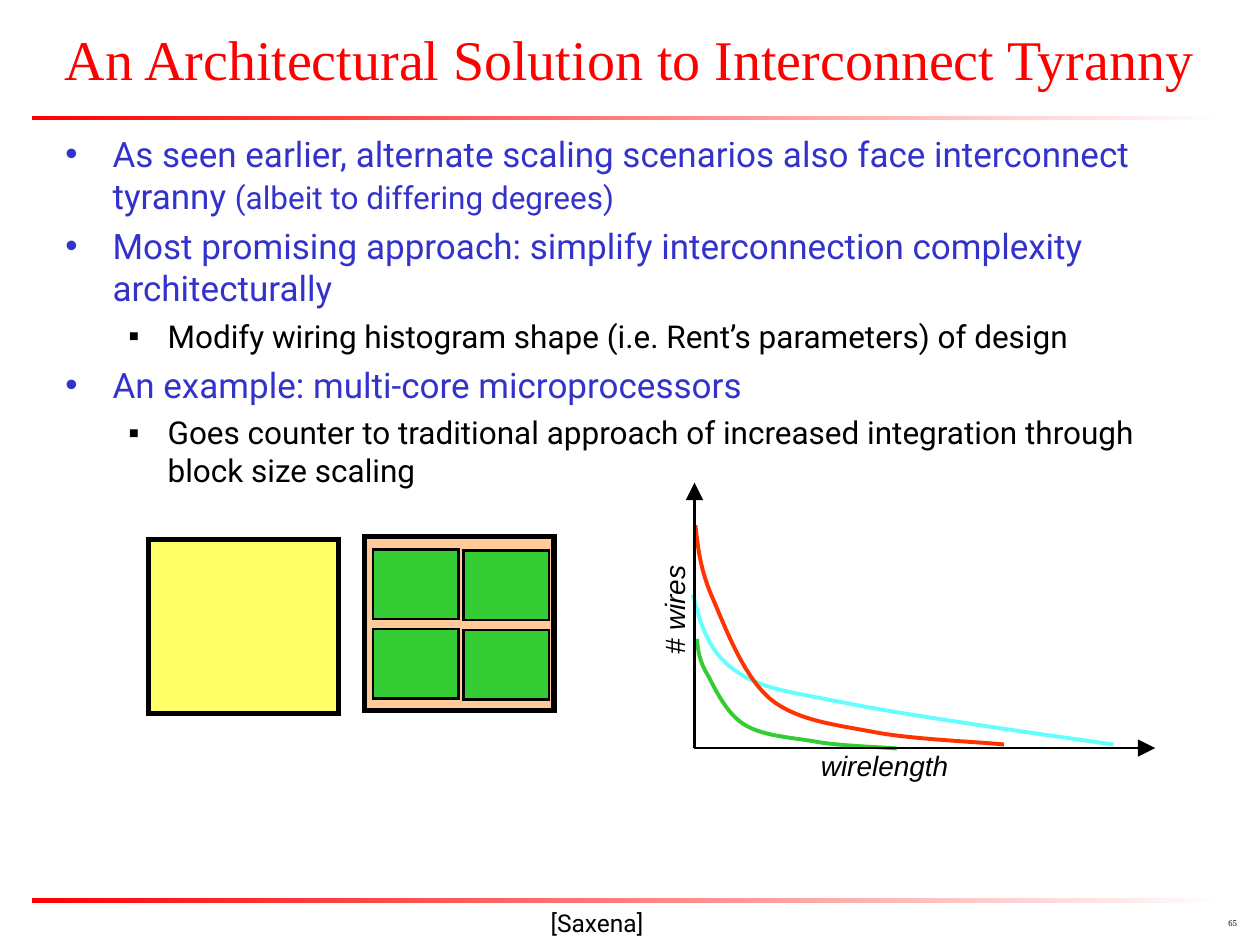
from dataclasses import dataclass

from lxml import etree
from pptx import Presentation
from pptx.dml.color import RGBColor
from pptx.enum.shapes import MSO_CONNECTOR, MSO_SHAPE
from pptx.enum.text import MSO_ANCHOR, PP_ALIGN
from pptx.oxml.ns import qn
from pptx.util import Cm, Pt

RECTANGLE = MSO_SHAPE.RECTANGLE
STRAIGHT = MSO_CONNECTOR.STRAIGHT
LEFT, CENTER, RIGHT = PP_ALIGN.LEFT, PP_ALIGN.CENTER, PP_ALIGN.RIGHT
MIDDLE = MSO_ANCHOR.MIDDLE


@dataclass(frozen=True)
class Theme:
    red: str = "FF0000"
    blue: str = "3333CC"
    black: str = "000000"
    white: str = "FFFFFF"
    yellow: str = "FFFF66"
    peach: str = "FFCC99"
    green: str = "33CC33"
    cyan: str = "66FFFF"
    orange: str = "FF3300"
    serif: str = "Times New Roman"
    body: str = "Roboto"
    label: str = "Arial"
    title_size: int = 32
    point_size: int = 20
    detail_size: int = 18
    label_size: int = 16
    source_size: int = 14
    number_size: int = 5


theme = Theme()

deck = Presentation()
deck.slide_width, deck.slide_height = Cm(25.4), Cm(19.05)
slide = deck.slides.add_slide(deck.slide_layouts[6])
shapes = slide.shapes


def add_label(parent, text, place, font, size, color, align=LEFT, wrap=False):
    box = parent.add_textbox(*map(Cm, place))
    box.text_frame.word_wrap = wrap
    paragraph = box.text_frame.paragraphs[0]
    paragraph.text = text
    paragraph.alignment = align
    paragraph.font.name = font
    paragraph.font.size = Pt(size)
    paragraph.font.color.rgb = RGBColor.from_string(color)
    return box


def add_block(parent, place, fill, border):
    block = parent.add_shape(RECTANGLE, *map(Cm, place))
    block.shadow.inherit = False
    block.fill.solid()
    block.fill.fore_color.rgb = RGBColor.from_string(fill)
    block.line.color.rgb = RGBColor.from_string(theme.black)
    block.line.width = Pt(border)
    etree.SubElement(block.line._get_or_add_ln(), qn("a:miter"), lim="800000")


# Fading rules under the title and above the footer
for top in (2.33, 18.11):
    rule = shapes.add_shape(RECTANGLE, Cm(0.64), Cm(top), Cm(24.13), Cm(0.1))
    rule.shadow.inherit = False
    rule.line.fill.background()
    rule.fill.gradient()
    rule.fill.gradient_angle = 0
    for stop, color in zip(rule.fill.gradient_stops, (theme.red, theme.white)):
        stop.color.rgb = RGBColor.from_string(color)

# Slide number and title
number = add_label(shapes, "65", (19.91, 18.41, 5.28, 0.5), theme.serif,
                   theme.number_size, theme.black, RIGHT, wrap=True)
number.text_frame.paragraphs[0].line_spacing = 0.8
title = add_label(shapes, "An Architectural Solution to Interconnect Tyranny",
                  (0, 0.22, 25.4, 1.9), theme.serif, theme.title_size,
                  theme.red, CENTER, wrap=True)
title.text_frame.vertical_anchor = MIDDLE

# Bulleted points: level, then text in runs with their sizes
points = [
    (0, [("As seen earlier, alternate scaling scenarios also face interconnect tyranny ",
          theme.point_size),
         ("(albeit to differing degrees)", theme.detail_size)]),
    (0, [("Most promising approach: simplify interconnection complexity architecturally",
          theme.point_size)]),
    (1, [("Modify wiring histogram shape (i.e. Rent’s parameters) of design",
          theme.detail_size)]),
    (0, [("An example: multi-core microprocessors", theme.point_size)]),
    (1, [("Goes counter to traditional approach of increased integration through "
          "block size scaling", theme.detail_size)]),
]
# Per level: bullet, colour, left margin, hanging indent, space before
levels = [("•", theme.blue, 0.95, 0.95, 5), ("▪", theme.black, 2.06, 0.79, 4.5)]

body = shapes.add_textbox(Cm(1.07), Cm(2.54), Cm(23.29), Cm(15.44)).text_frame
body.word_wrap = True
for index, (level, pieces) in enumerate(points):
    bullet, color, margin, hang, gap = levels[level]
    paragraph = body.add_paragraph() if index else body.paragraphs[0]
    paragraph.level = level
    properties = paragraph._p.get_or_add_pPr()
    properties.set("marL", str(Cm(margin)))
    properties.set("indent", str(-Cm(hang)))
    bullet_color = etree.SubElement(properties, qn("a:buClr"))
    etree.SubElement(bullet_color, qn("a:srgbClr"), val=color)
    etree.SubElement(properties, qn("a:buFont"), typeface=theme.label)
    etree.SubElement(properties, qn("a:buChar"), char=bullet)
    if index:
        paragraph.space_before = Pt(gap)
    for text, size in pieces:
        run = paragraph.add_run()
        run.text = text
        run.font.name = theme.body
        run.font.size = Pt(size)
        run.font.color.rgb = RGBColor.from_string(color)

# Single-core chip beside a chip with a two by two grid of cores
add_block(shapes, (3, 10.87, 3.82, 3.51), theme.yellow, 3)
multicore = shapes.add_group_shape().shapes
add_block(multicore, (7.35, 10.82, 3.82, 3.51), theme.peach, 3)
for row in range(2):
    for column in range(2):
        add_block(multicore, (7.52 + 1.83 * column, 11.08 + 1.6 * row + 0.02 * column,
                              1.72, 1.4), theme.green, 1.5)

# Wire histograms: start point, then two controls and an end per Bezier piece
curves = [
    (theme.cyan, [(13.97, 11.99), (14.12, 12.57), (14.27, 13.13), (14.81, 13.51),
                  (15.32, 13.87), (15.75, 13.92), (17.04, 14.17),
                  (18.31, 14.43), (21.54, 14.88), (22.45, 15.01)]),
    (theme.green, [(14.05, 12.88), (14.07, 13.11), (14.1, 13.34), (14.27, 13.61),
                   (14.43, 13.92), (14.66, 14.4), (15.01, 14.61),
                   (15.37, 14.83), (15.88, 14.86), (16.38, 14.94),
                   (16.89, 15.04), (17.78, 15.06), (18.08, 15.09)]),
    (theme.orange, [(14.02, 10.59), (14.07, 11.05), (14.12, 11.51), (14.38, 12.09),
                    (14.63, 12.67), (14.99, 13.64), (15.54, 14.1),
                    (16.08, 14.53), (16.84, 14.61), (17.63, 14.76),
                    (18.42, 14.91), (19.81, 14.96), (20.24, 15.01)]),
]
for color, knots in curves:
    start, *rest = [(Cm(x), Cm(y)) for x, y in knots]
    builder = shapes.build_freeform(*start)
    builder.add_line_segments(rest, close=False)
    curve = builder.convert_to_shape()
    # Every three straight segments become one cubic piece
    segments = list(curve._element.iter(qn("a:lnTo")))
    outline = segments[0].getparent()
    for first in range(0, len(segments), 3):
        cubic = etree.SubElement(outline, qn("a:cubicBezTo"))
        for segment in segments[first:first + 3]:
            cubic.append(segment[0])
            outline.remove(segment)
    curve.shadow.inherit = False
    curve.fill.background()
    curve.line.color.rgb = RGBColor.from_string(color)
    curve.line.width = Pt(2.25)

# Axes with arrowheads
graph = shapes.add_group_shape().shapes
for end_x, end_y in ((14, 9.73), (23.29, 15.08)):
    axis = graph.add_connector(STRAIGHT, Cm(14), Cm(15.08), Cm(end_x), Cm(end_y))
    axis.line.color.rgb = RGBColor.from_string(theme.black)
    axis.line.width = Pt(1.5)
    etree.SubElement(axis.line._get_or_add_ln(), qn("a:tailEnd"),
                     type="triangle", w="lg", len="lg")
    etree.SubElement(axis._element.spPr, qn("a:effectLst"))

# Axis labels
for text, place, turn in (("# wires", (12.45, 11.82, 2.29, 0.94), 270),
                          ("wirelength", (16.3, 14.96, 3.07, 0.94), 0)):
    axis_label = add_label(graph, text, place, theme.label, theme.label_size, theme.black)
    axis_label.rotation = turn
    axis_label.text_frame.paragraphs[0].font.italic = True

# Source
add_label(shapes, "[Saxena]", (10.78, 18.17, 2.51, 0.86), theme.body,
          theme.source_size, theme.black, CENTER)

deck.save("out.pptx")
